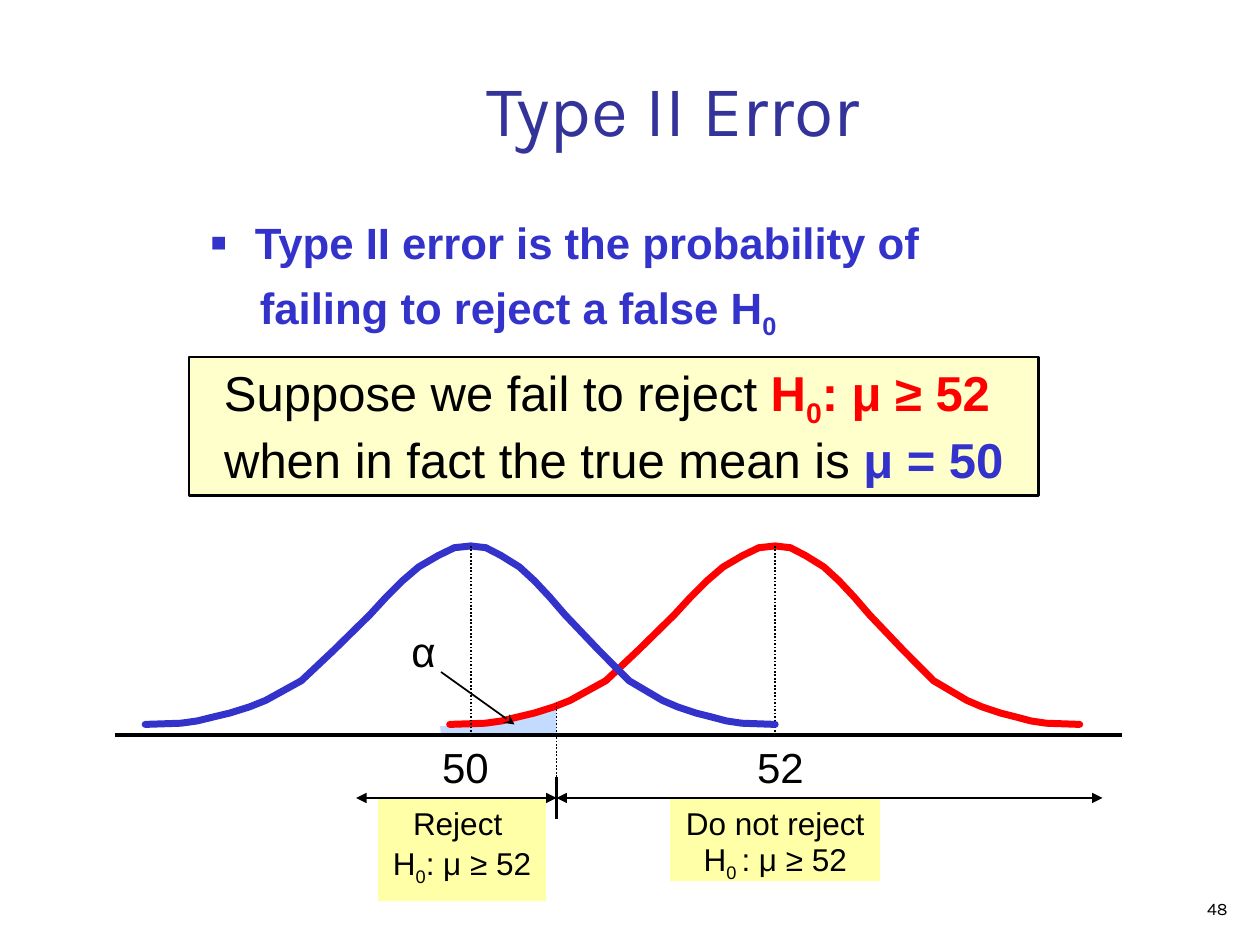
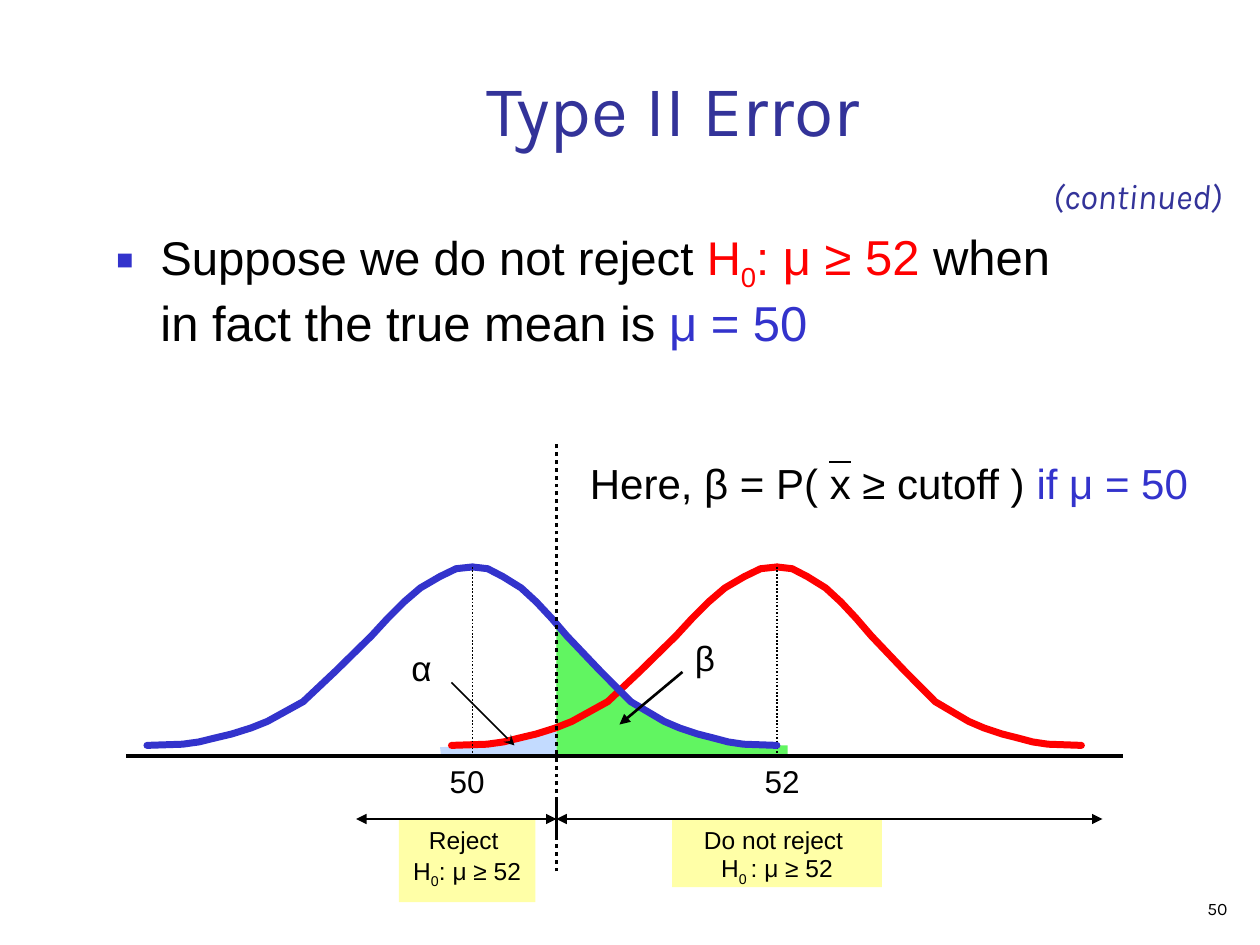
from lxml import etree
from pptx import Presentation
from pptx.dml.color import RGBColor
from pptx.enum.dml import MSO_LINE
from pptx.enum.shapes import MSO_CONNECTOR, MSO_SHAPE
from pptx.enum.text import MSO_ANCHOR, MSO_AUTO_SIZE, PP_ALIGN
from pptx.oxml.ns import qn
from pptx.util import Pt

LEFT, CENTER, RIGHT = PP_ALIGN.LEFT, PP_ALIGN.CENTER, PP_ALIGN.RIGHT
TOP, BOTTOM = MSO_ANCHOR.TOP, MSO_ANCHOR.BOTTOM
DOTTED = MSO_LINE.ROUND_DOT
STRAIGHT, RECTANGLE = MSO_CONNECTOR.STRAIGHT, MSO_SHAPE.RECTANGLE
NO_AUTOFIT = MSO_AUTO_SIZE.NONE

BLACK, RED, BLUE, NAVY = "000000", "FF0000", "3333CC", "333399"
LABEL_YELLOW, PALE_YELLOW = "FFFFA7", "FFFFCC"
ALPHA_BLUE, BETA_GREEN = "C3DBFF", "61F561"
TEXT_FONT, TITLE_FONT = "Arial", "Karla"

TITLE = "Type II Error"
CUTOFF = 318
LEFT_HALF, RIGHT_HALF = 186, 174
CURVE_BASE = 6
BELL = [(0, 0), (0.11, 0.7), (0.16, 2), (0.21, 4.3), (0.26, 6.5), (0.32, 10),
        (0.37, 13.7), (0.48, 25), (0.58, 42.5), (0.69, 62.6), (0.74, 72.7),
        (0.79, 82), (0.84, 90), (0.9, 96.5), (0.95, 101), (1, 102)]
ALPHA_AREA = [(252, 0.7), (251.5, 5), (280.5, 6.5), (299, 11.5), (308, 13),
              (CUTOFF, 17.5), (CUTOFF, 0), (252, 0)]
BETA_AREA = [(CUTOFF, 0), (CUTOFF, 78), (330, 62), (338, 54), (351, 41),
             (362, 31), (374, 24), (384, 18), (402, 11.5), (420, 8),
             (432, 6), (450, 6), (450, 0)]


def null_hypothesis(subscript, claim, **style):
    """Return the spans of H0 followed by its claim."""
    return [("H", style), (subscript, {**style, "sub": True}), (claim, style)]


STATEMENT = [
    [("Type II error is the probability of", {})],
    [("failing to reject a false H", {}), ("0", {"sub": True})],
]
SUPPOSITION = [
    [("Suppose we fail to reject ", {}),
     *null_hypothesis("0", ": μ ≥ 52 ", color=RED, bold=True)],
    [("when in fact the true mean is ", {}),
     ("μ = 50", {"color": BLUE, "bold": True})],
]
CONTINUED_SUPPOSITION = [[
    ("Suppose we do not reject ", {"size": 27}),
    *null_hypothesis("0", ":", color=RED, size=27),
    (" μ ≥ 52", {"color": RED}),
    (" when in fact the true mean is ", {}),
    ("μ = 50", {"color": BLUE}),
]]
BETA_FORMULA = [[("Here, β = P( x ≥ cutoff ) ", {}),
                 ("if μ = 50", {"color": BLUE})]]
DECISIONS = [
    ([[("Reject ", {})], null_hypothesis("0", ": μ ≥ 52")], 0.4),
    ([[("Do not reject ", {})], null_hypothesis("0 ", ": μ ≥ 52")], 0.3),
]

FIRST = {
    "number": "48", "axis": 420, "axis_ends": (66, 641), "means": (269, 443),
    "mean_size": 24, "decision_size": 18,
    "decision_boxes": [(216, 96, 59), (383, 120, 47.5)],
    "alpha_box": (228, 354, 30, 36), "alpha_size": 24,
    "alpha_arrow": (252, 384, 294, 414),
}
SECOND = {
    "number": "50", "axis": 432, "axis_ends": (72, 642), "means": (270, 444),
    "mean_size": 18, "decision_size": 14,
    "decision_boxes": [(228, 78, 47.5), (384, 120, 39)],
    "alpha_box": (228, 366, 30, 31), "alpha_size": 20,
    "alpha_arrow": (258, 390, 294, 426),
}


def rgb(color):
    """Turn a hex string into a colour."""
    return RGBColor.from_string(color)


def add_bullet(para):
    """Give a paragraph the small square bullet."""
    properties = para._p.get_or_add_pPr()
    color = etree.SubElement(properties, qn("a:buClr"))
    etree.SubElement(color, qn("a:srgbClr"), val=BLUE)
    etree.SubElement(properties, qn("a:buSzPct"), val="60000")
    etree.SubElement(properties, qn("a:buFont"), typeface=TEXT_FONT)
    etree.SubElement(properties, qn("a:buChar"), char="■")


def set_indent(para, margin, first_line):
    """Set the left margin and first line indent of a paragraph."""
    properties = para._p.get_or_add_pPr()
    properties.set("marL", str(Pt(margin)))
    properties.set("indent", str(Pt(first_line)))


def write(shape, paragraphs, size, color=BLACK, font=TEXT_FONT, align=LEFT,
          anchor=TOP, before=0, leading=(None, None), bold=None, italic=None,
          bullet=False, wrap=True, inset=7.2):
    """Fill a shape with paragraphs made of styled spans."""
    frame = shape.text_frame
    frame.word_wrap, frame.auto_size = wrap, NO_AUTOFIT
    frame.vertical_anchor = anchor
    frame.margin_left = frame.margin_right = Pt(inset)
    frame.margin_top = frame.margin_bottom = Pt(3.6)
    for index, spans in enumerate(paragraphs):
        para = frame.add_paragraph() if index else frame.paragraphs[0]
        if bullet and index == 0:
            set_indent(para, 25.2, -25.2)
            add_bullet(para)
        elif bullet:
            set_indent(para, 28, 0)
        para.alignment = align
        para.space_before = Pt(before if index else 0)
        if leading[index]:
            para.line_spacing = leading[index]
        para.font.name, para.font.size = font, Pt(size)
        para.font.bold, para.font.italic = bold, italic
        para.font.color.rgb = rgb(color)
        for text, style in spans:
            span = para.add_run()
            span.text = text
            if "color" in style:
                span.font.color.rgb = rgb(style["color"])
            if "bold" in style:
                span.font.bold = style["bold"]
            if "size" in style:
                span.font.size = Pt(style["size"])
            if "sub" in style:
                span._r.get_or_add_rPr().set("baseline", "-25000")


def add_text(page, place, content, size, **options):
    """Add a text box holding a plain string or paragraphs."""
    paragraphs = [[(content, {})]] if isinstance(content, str) else content
    box = page.shapes.add_textbox(*map(Pt, place))
    write(box, paragraphs, size, **options)


def add_panel(page, place, fill, paragraphs, size, border=None, **options):
    """Add a filled rectangle with centred text."""
    panel = page.shapes.add_shape(RECTANGLE, *map(Pt, place))
    panel.shadow.inherit = False
    panel.fill.solid()
    panel.fill.fore_color.rgb = rgb(fill)
    if border:
        panel.line.color.rgb = rgb(border)
        panel.line.width = Pt(1.5)
    else:
        panel.line.fill.background()
    write(panel, paragraphs, size, align=CENTER, **options)


def add_line(page, ends, width, dash=None, head=None, tail=None):
    """Add a straight black line with optional arrowheads."""
    connector = page.shapes.add_connector(STRAIGHT, *map(Pt, ends))
    connector.line.color.rgb = rgb(BLACK)
    connector.line.width = Pt(width)
    if dash:
        connector.line.dash_style = dash
    outline = connector.line._get_or_add_ln()
    for tag, kind in (("a:headEnd", head), ("a:tailEnd", tail)):
        if kind:
            etree.SubElement(outline, qn(tag), type=kind)
    etree.SubElement(connector._element.spPr, qn("a:effectLst"))


def add_outline(page, axis, points, closed):
    """Add a freeform through points measured upwards from the axis."""
    places = [(Pt(x), Pt(axis - height)) for x, height in points]
    builder = page.shapes.build_freeform(*places[0], scale=1.0)
    builder.add_line_segments(places[1:], close=closed)
    outline = builder.convert_to_shape()
    outline.shadow.inherit = False
    return outline


def add_area(page, axis, points, fill):
    """Add a shaded area standing on the axis."""
    area = add_outline(page, axis, points, True)
    area.fill.solid()
    area.fill.fore_color.rgb = rgb(fill)
    area.line.fill.background()


def add_bell(page, axis, mean, color):
    """Add the two halves of a bell curve and the line at its mean."""
    for reach in (-LEFT_HALF, RIGHT_HALF):
        points = [(mean + reach * (1 - part), CURVE_BASE + height)
                  for part, height in BELL]
        half = add_outline(page, axis, points, False)
        half.fill.background()
        half.line.color.rgb = rgb(color)
        half.line.width = Pt(4)
        half.line._get_or_add_ln().set("cap", "rnd")
    add_line(page, (mean, axis - 108, mean, axis), 1, DOTTED)


def add_page(deck, number):
    """Add a page with its title and number."""
    page = deck.slides.add_slide(deck.slide_layouts[5])
    title = page.shapes.title
    title.left, title.top, title.width, title.height = map(Pt, (78, 30, 613.5, 60))
    write(title, [[(TITLE, {})]], 41, color=NAVY, font=TITLE_FONT,
          align=CENTER, anchor=BOTTOM, inset=6.5)
    add_text(page, (558, 504, 150, 24.5), number, 10, font=TITLE_FONT,
             align=RIGHT, anchor=BOTTOM, inset=6.5)
    return page


def draw_test(page, layout, beta=False):
    """Draw both distributions, the cutoff and the decision regions."""
    axis = layout["axis"]
    decision_line = axis + 36
    size = layout["decision_size"]
    for (x, width, height), (paragraphs, leading) in zip(layout["decision_boxes"], DECISIONS):
        add_panel(page, (x, decision_line, width, height), LABEL_YELLOW,
                  paragraphs, size, before=size * 0.625, leading=(None, leading))
    if beta:
        add_area(page, axis, BETA_AREA, BETA_GREEN)
    add_area(page, axis, ALPHA_AREA, ALPHA_BLUE)
    true_mean, claimed_mean = layout["means"]
    add_bell(page, axis, claimed_mean, RED)
    add_bell(page, axis, true_mean, BLUE)
    start, end = layout["axis_ends"]
    add_line(page, (start, axis, end, axis), 2)
    add_line(page, (CUTOFF, axis + 24, CUTOFF, axis + 48), 2.25)
    for reach in (630, 203.5):
        add_line(page, (CUTOFF, decision_line, reach, decision_line), 1.5,
                 head="triangle", tail="triangle")
    for label, center in (("52", claimed_mean + 3), ("50", true_mean - 3)):
        add_text(page, (center - 21, axis, 42, 36), label,
                 layout["mean_size"], align=CENTER)
    add_text(page, layout["alpha_box"], "α", layout["alpha_size"])
    add_line(page, layout["alpha_arrow"], 1, tail="stealth")


def build_first(deck):
    """Build the page that defines the error."""
    page = add_page(deck, FIRST["number"])
    add_text(page, (114, 120, 558, 78), STATEMENT, 25, color=BLUE, bold=True,
             before=6.8, bullet=True, inset=6.5)
    draw_test(page, FIRST)
    add_line(page, (CUTOFF, 444, CUTOFF, 402), 1, DOTTED)
    add_panel(page, (108, 204, 485.5, 79), PALE_YELLOW, SUPPOSITION, 28,
              border=BLACK, before=7, leading=(0.9, 0.9))


def build_second(deck):
    """Build the page that shows beta."""
    page = add_page(deck, SECOND["number"])
    add_text(page, (60, 126, 558, 84), CONTINUED_SUPPOSITION, 28,
             bullet=True, inset=6.5)
    draw_test(page, SECOND, beta=True)
    add_text(page, (390, 360, 30, 31), "β", 20)
    add_line(page, (390, 384, 354, 414), 1.5, tail="triangle")
    add_line(page, (CUTOFF, 498, CUTOFF, 252), 2.25, DOTTED)
    add_text(page, (330, 258, 360, 65), BETA_FORMULA, 24)
    add_line(page, (474, 264, 486, 264), 1.5)
    add_text(page, (594.5, 96, 114.5, 31.5), "(continued)", 20, color=NAVY,
             font=TITLE_FONT, italic=True, wrap=False)


def main():
    """Build and save the deck."""
    deck = Presentation()
    deck.slide_width, deck.slide_height = Pt(720), Pt(540)
    build_first(deck)
    build_second(deck)
    deck.save("out.pptx")


if __name__ == "__main__":
    main()
